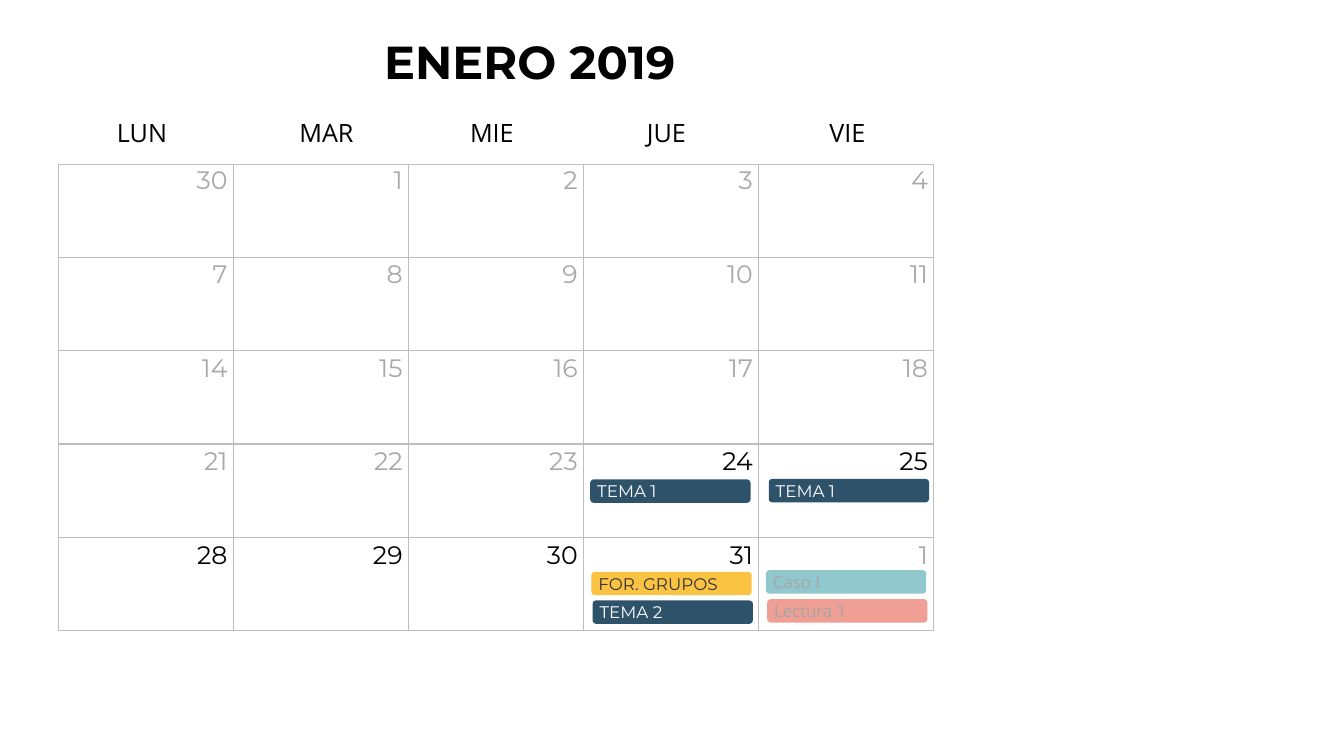
from lxml.etree import SubElement
from pptx import Presentation
from pptx.dml.color import RGBColor
from pptx.enum.shapes import MSO_SHAPE
from pptx.enum.text import MSO_ANCHOR, PP_ALIGN
from pptx.oxml.ns import qn
from pptx.util import Cm, Pt

BLACK = RGBColor(0x00, 0x00, 0x00)
WHITE = RGBColor(0xFF, 0xFF, 0xFF)
CHARCOAL = RGBColor(0x33, 0x33, 0x33)
PAST_GRAY = RGBColor(0xA8, 0xA8, 0xA8)
LABEL_GRAY = RGBColor(0xA6, 0xA6, 0xA6)
GRID_GRAY = RGBColor(0xBC, 0xBE, 0xC0)
NAVY = RGBColor(0x2F, 0x52, 0x6B)
YELLOW = RGBColor(0xFA, 0xC3, 0x44)
RED = RGBColor(0xE2, 0x41, 0x2A)
TEAL = RGBColor(0x23, 0x92, 0x9E)

HEADING_FONT = "Montserrat"
BODY_FONT = "Open Sans"

GRID_LEFT, GRID_TOP = 1.47, 4.14
DAY_WIDTH, WEEK_HEIGHT = 4.415, 2.35
NUMBER_TOP, NUMBER_PITCH = 4.15, 2.36
NUMBER_WIDTH, NUMBER_MARGIN = 0.9, 0.15

WEEKDAY_CENTERS = {"LUN": 3.58, "MAR": 8.23, "MIE": 12.4, "JUE": 16.8, "VIE": 21.36}
WEEKS = [
    [30, 1, 2, 3, 4],
    [7, 8, 9, 10, 11],
    [14, 15, 16, 17, 18],
    [21, 22, 23, 24, 25],
    [28, 29, 30, 31, 1],
]
ACTIVE_DAYS = {(3, 3), (3, 4), (4, 0), (4, 1), (4, 2), (4, 3)}

EVENTS = [
    ("TEMA 1", 19.38, 12.07, NAVY, WHITE, HEADING_FONT, 100),
    ("TEMA 1", 14.88, 12.08, NAVY, WHITE, HEADING_FONT, 100),
    ("FOR. GRUPOS", 14.91, 14.41, YELLOW, CHARCOAL, HEADING_FONT, 100),
    ("TEMA 2", 14.94, 15.13, NAVY, WHITE, HEADING_FONT, 100),
    ("Lectura 1", 19.34, 15.1, RED, LABEL_GRAY, BODY_FONT, 50),
    ("Caso I", 19.31, 14.37, TEAL, LABEL_GRAY, BODY_FONT, 50),
]


def write_text(frame, text, size=18, font=HEADING_FONT, color=BLACK, bold=False,
               align=PP_ALIGN.LEFT, anchor=MSO_ANCHOR.TOP, indent=0, wrap=True):
    frame.margin_left = Cm(indent)
    frame.margin_top = frame.margin_right = frame.margin_bottom = 0
    frame.word_wrap = wrap
    frame.vertical_anchor = anchor
    paragraph = frame.paragraphs[0]
    paragraph.alignment = align
    run = paragraph.add_run()
    run.text = text
    run.font.size = Pt(size)
    run.font.name = font
    run.font.bold = bold
    run.font.color.rgb = color


def add_label(slide, text, left, top, width, height=0.76, **style):
    label = slide.shapes.add_textbox(Cm(left), Cm(top), Cm(width), Cm(height))
    write_text(label.text_frame, text, wrap=False, **style)


def add_block(slide, preset, left, top, width, height, fill):
    block = slide.shapes.add_shape(preset, Cm(left), Cm(top), Cm(width), Cm(height))
    block.shadow.inherit = False
    block.fill.solid()
    block.fill.fore_color.rgb = fill
    return block


def add_day_cell(slide, week, weekday):
    cell = add_block(slide, MSO_SHAPE.RECTANGLE, GRID_LEFT + weekday * DAY_WIDTH,
                     GRID_TOP + week * WEEK_HEIGHT, DAY_WIDTH, WEEK_HEIGHT, WHITE)
    cell.line.color.rgb = GRID_GRAY
    cell.line.width = Pt(0.75)


def add_day_number(slide, week, weekday, day):
    right = GRID_LEFT + (weekday + 1) * DAY_WIDTH - NUMBER_MARGIN
    color = BLACK if (week, weekday) in ACTIVE_DAYS else PAST_GRAY
    add_label(slide, str(day), right - NUMBER_WIDTH, NUMBER_TOP + week * NUMBER_PITCH,
              NUMBER_WIDTH, color=color, align=PP_ALIGN.RIGHT)


def add_event(slide, text, left, top, fill, color, font, opacity):
    event = add_block(slide, MSO_SHAPE.ROUNDED_RECTANGLE, left, top, 4.04, 0.59, fill)
    event.adjustments[0] = 0.15
    event.line.fill.background()
    if opacity < 100:
        fill_color = event.fill._xPr.find(qn("a:solidFill"))[0]
        SubElement(fill_color, qn("a:alpha"), val=str(opacity * 1000))
    write_text(event.text_frame, text, size=12, font=font, color=color,
               anchor=MSO_ANCHOR.MIDDLE, indent=0.15)


def main():
    calendar = Presentation()
    calendar.slide_width, calendar.slide_height = Cm(33.88), Cm(19.05)
    slide = calendar.slides.add_slide(calendar.slide_layouts[6])

    add_label(slide, "ENERO 2019", 9.58, 0.84, 7.55, 1.4, size=33, bold=True,
              align=PP_ALIGN.CENTER)
    days = [(week, weekday, day) for week, row in enumerate(WEEKS)
            for weekday, day in enumerate(row)]
    for week, weekday, _ in days:
        add_day_cell(slide, week, weekday)
    for week, weekday, day in days:
        add_day_number(slide, week, weekday, day)
    for weekday, center in WEEKDAY_CENTERS.items():
        add_label(slide, weekday, center - 0.7, 2.95, 1.4, font=BODY_FONT,
                  align=PP_ALIGN.CENTER)
    for event in EVENTS:
        add_event(slide, *event)

    calendar.save("out.pptx")


if __name__ == "__main__":
    main()
